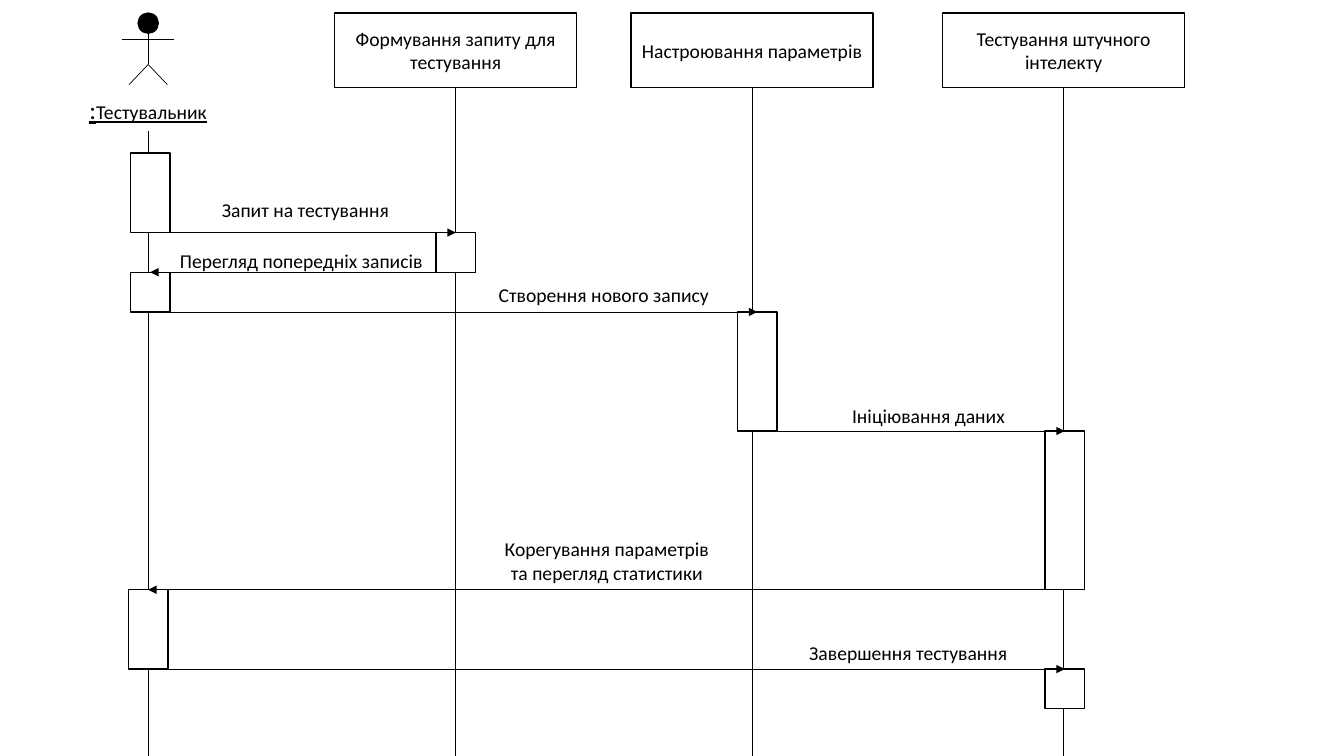
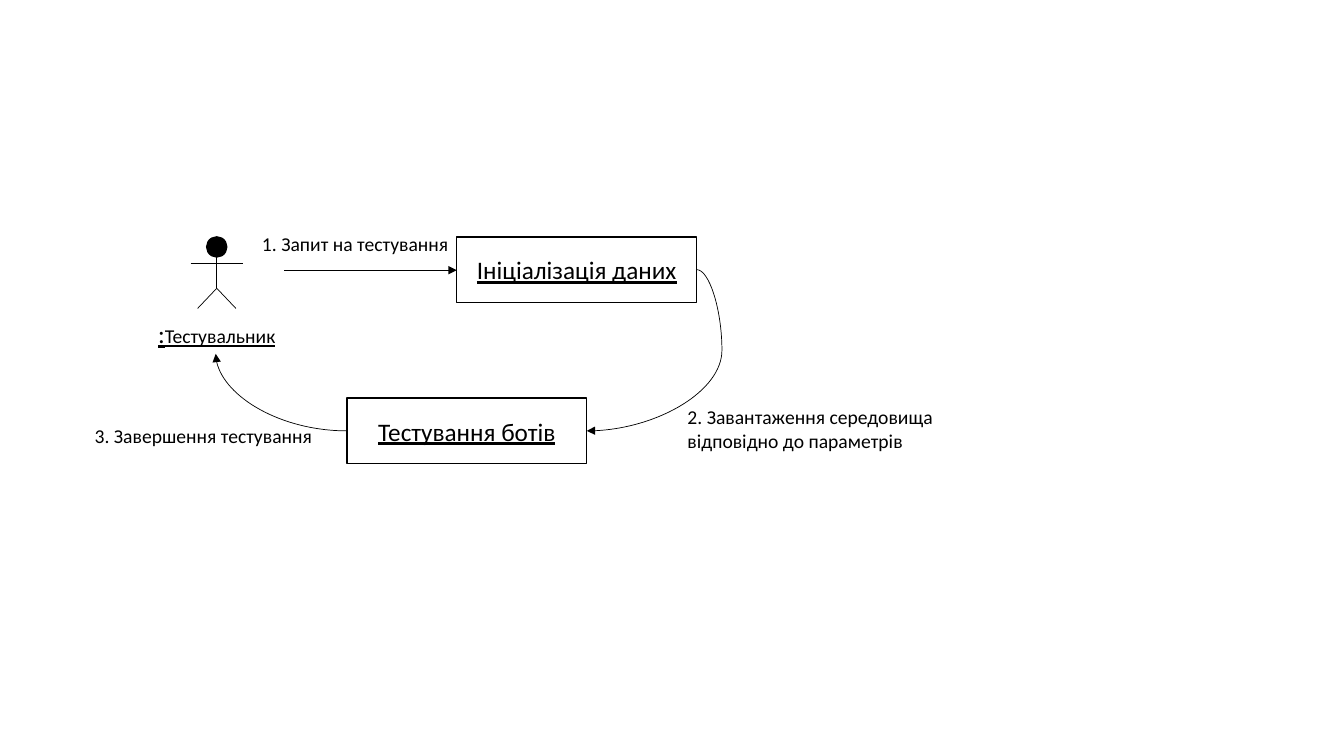
"""Builds a sequence diagram and a collaboration diagram of AI testing."""
from lxml.etree import SubElement
from pptx import Presentation
from pptx.dml.color import RGBColor
from pptx.enum.shapes import MSO_CONNECTOR, MSO_SHAPE
from pptx.enum.text import MSO_ANCHOR, PP_ALIGN
from pptx.oxml.ns import qn
from pptx.util import Cm, Inches, Pt

INK = "000000"
PAPER = "FFFFFF"
FONT = "Calibri"
WIDTH, HEIGHT = 13.33, 7.5
ROW = Cm(1) / Inches(1)
FIRST_ROW = 1.52


def add_box(slide, area, runs=(), fill=None, kind=MSO_SHAPE.RECTANGLE, align=PP_ALIGN.CENTER, underline=False):
    area = [Inches(length) for length in area]
    if fill:
        box = slide.shapes.add_shape(kind, *area)
        box.shadow.inherit = False
        box.fill.solid()
        box.fill.fore_color.rgb = RGBColor.from_string(fill)
        box.line.color.rgb = RGBColor.from_string(INK)
        box.line.width = Pt(1)
    else:
        box = slide.shapes.add_textbox(*area)
    frame = box.text_frame
    frame.word_wrap = True
    if fill:
        frame.vertical_anchor = MSO_ANCHOR.MIDDLE
        frame.margin_left = frame.margin_right = Inches(0.05)
    paragraph = frame.paragraphs[0]
    paragraph.alignment = align
    for words, size in runs:
        run = paragraph.add_run()
        run.text = words
        run.font.name = FONT
        run.font.size = Pt(size)
        run.font.underline = underline
        run.font.color.rgb = RGBColor.from_string(INK)
    return box


def add_line(slide, start, end, arrow=False, kind=MSO_CONNECTOR.STRAIGHT):
    line = slide.shapes.add_connector(kind, *[Inches(length) for length in (*start, *end)])
    line.line.color.rgb = RGBColor.from_string(INK)
    line.line.width = Pt(0.5)
    properties = line._element.spPr
    if arrow:
        SubElement(properties.find(qn("a:ln")), qn("a:tailEnd"), type="triangle")
    SubElement(properties, qn("a:effectLst"))
    return line


deck = Presentation()
deck.slide_width, deck.slide_height = Inches(WIDTH), Inches(HEIGHT)
blank = deck.slide_layouts[6]
sequence = deck.slides.add_slide(blank)
collaboration = deck.slides.add_slide(blank)

for slide, centre, top in [(sequence, 1.47, 0.13), (collaboration, 2.15, 2.35)]:
    add_box(slide, (centre - 0.1, top, 0.2, 0.2), fill=INK, kind=MSO_SHAPE.OVAL)
    hip = (centre, top + 0.51)
    add_line(slide, (centre, top + 0.2), hip)
    add_line(slide, (centre - 0.26, top + 0.26), (centre + 0.26, top + 0.26))
    for step in (-0.19, 0.19):
        add_line(slide, hip, (centre + step, top + 0.71))
    add_box(slide, (centre - 0.96, top + 0.76, 1.92, 0.4), [(":", 18), ("Тестувальник", 14)], underline=True)

tester, request, settings, testing = 1.47, 4.52, 7.46, 10.55
add_line(sequence, (tester, 1.3), (tester, HEIGHT))
for centre, words in [
    (request, "Формування запиту для тестування"),
    (settings, "Настроювання параметрів"),
    (testing, "Тестування штучного інтелекту"),
]:
    add_box(sequence, (centre - 1.2, 0.13, 2.4, 0.74), [(words, 14)], fill=PAPER)
    add_line(sequence, (centre, 0.87), (centre, HEIGHT))

for centre, row, rows in [
    (1.49, 0, 2), (request, 2, 1), (1.49, 3, 1), (7.51, 4, 3),
    (10.56, 7, 4), (tester, 11, 2), (10.56, 13, 1),
]:
    add_box(sequence, (centre - ROW / 2, FIRST_ROW + row * ROW, ROW, rows * ROW), fill=PAPER)

for row, sender, receiver, words, left, width, rise in [
    (2, 1.49, request, "Запит на тестування", 1.83, 2.4, 0.39),
    (3, request, 1.49, "Перегляд попередніх записів", 1.47, 3.04, 0.28),
    (4, 1.49, 7.51, "Створення нового запису", 4.79, 2.4, 0.34),
    (7, 7.51, 10.56, "Ініціювання даних", 8.01, 2.4, 0.32),
    (11, 10.56, tester, "Корегування параметрів та перегляд статистики", 4.82, 2.4, 0.57),
    (13, tester, 10.56, "Завершення тестування", 7.81, 2.4, 0.33),
]:
    level = FIRST_ROW + row * ROW
    add_line(sequence, (sender, level), (receiver, level), arrow=True)
    add_box(sequence, (left, level - rise, width, 0.34), [(words, 14)])

preparation, bots = [
    add_box(collaboration, (left, top, 2.38, 0.65), [(words, 18)], fill=PAPER, underline=True)
    for left, top, words in [(4.53, 2.35, "Ініціалізація даних"), (3.44, 3.95, "Тестування ботів")]
]
add_line(collaboration, (2.82, 2.68), (4.53, 2.68), arrow=True)

finish = add_line(collaboration, (3.44, 4.27), (2.14, 3.51), arrow=True, kind=MSO_CONNECTOR.CURVE)
finish.begin_connect(bots, 1)
finish._element.spPr.find(qn("a:prstGeom")).set("prst", "curvedConnector2")

loading = add_line(collaboration, (6.92, 2.68), (5.83, 4.27), arrow=True, kind=MSO_CONNECTOR.CURVE)
loading.begin_connect(preparation, 3)
loading.end_connect(bots, 3)
bend = loading._element.spPr.find(qn("a:prstGeom")).get_or_add_avLst()
SubElement(bend, qn("a:gd"), name="adj1", fmla="val -23000")

for area, words in [
    ((2.5, 2.25, 2.25, 0.34), "1. Запит на тестування"),
    ((6.72, 3.97, 2.83, 0.57), "2. Завантаження середовища відповідно до параметрів"),
    ((0.84, 4.16, 3, 0.34), "3. Завершення тестування"),
]:
    add_box(collaboration, area, [(words, 14)], align=PP_ALIGN.LEFT)

deck.save("out.pptx")
